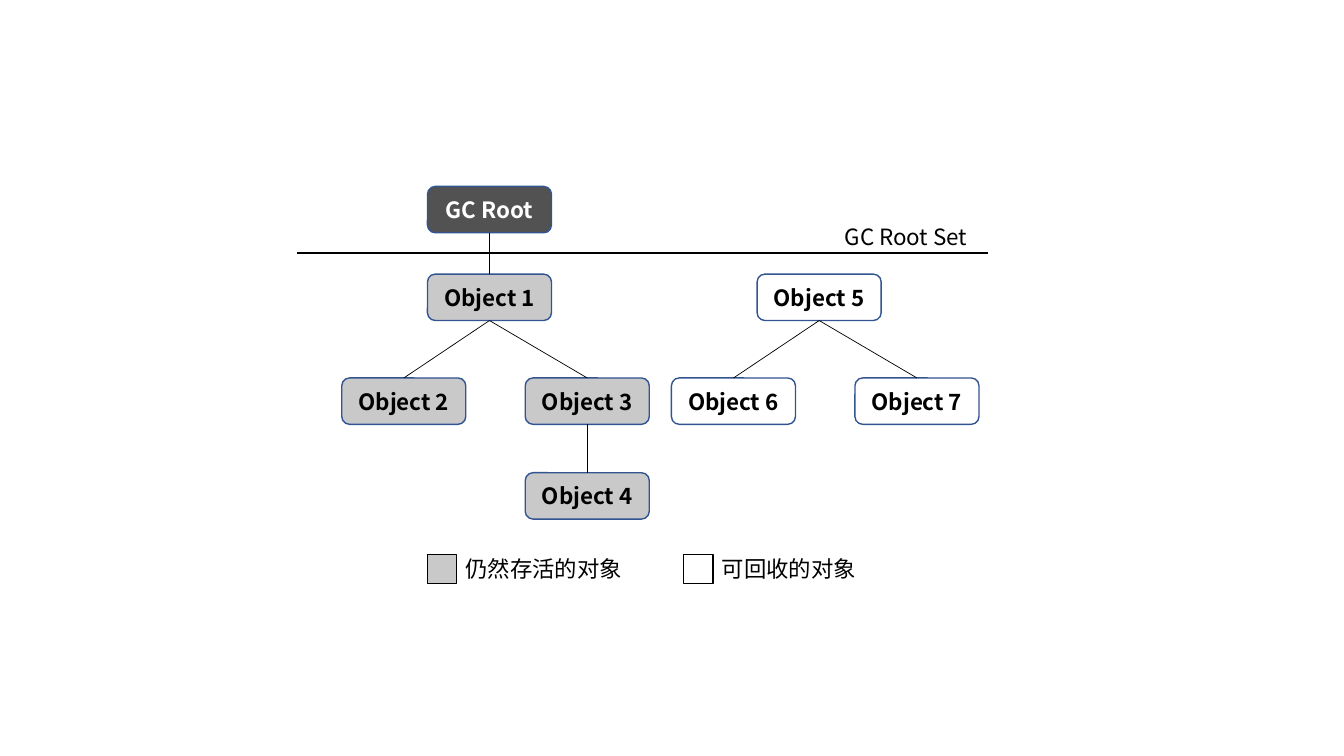
import dataclasses
import typing

import lxml.etree
import pptx
import pptx.dml.color
import pptx.enum.shapes
import pptx.enum.text
import pptx.oxml.ns
import pptx.util

Inches = pptx.util.Inches
Pt = pptx.util.Pt
RGBColor = pptx.dml.color.RGBColor
ShapeType = pptx.enum.shapes.MSO_SHAPE

BLACK = RGBColor(0x00, 0x00, 0x00)
WHITE = RGBColor(0xFF, 0xFF, 0xFF)
ROOT_GREY = RGBColor(0x52, 0x52, 0x52)
ALIVE_GREY = RGBColor(0xC9, 0xC9, 0xC9)
NODE_BORDER = RGBColor(0x32, 0x54, 0x91)

FONT = "Noto Sans CJK SC"
NODE_WIDTH, NODE_HEIGHT = 1.23, 0.46
ROOT_TOP, PARENT_TOP, CHILD_TOP, LEAF_TOP = 1.85, 2.72, 3.75, 4.69
TREE_OFFSET = 3.27
ALIVE_LEFT = 4.24
LEFT_CHILD, RIGHT_CHILD = ALIVE_LEFT - 0.85, ALIVE_LEFT + 0.97
BOTTOM_SITE, TOP_SITE = 2, 0


@dataclasses.dataclass
class Node:
    name: str
    left: float
    top: float
    fill: typing.Optional[RGBColor] = None
    color: RGBColor = BLACK
    parent: typing.Optional[str] = None


@dataclasses.dataclass
class LegendEntry:
    label: str
    left: float
    label_width: float
    fill: RGBColor


NODES = [
    Node("GC Root", ALIVE_LEFT, ROOT_TOP, ROOT_GREY, WHITE),
    Node("Object 1", ALIVE_LEFT, PARENT_TOP, ALIVE_GREY, parent="GC Root"),
    Node("Object 2", LEFT_CHILD, CHILD_TOP, ALIVE_GREY, parent="Object 1"),
    Node("Object 3", RIGHT_CHILD, CHILD_TOP, ALIVE_GREY, parent="Object 1"),
    Node("Object 4", RIGHT_CHILD, LEAF_TOP, ALIVE_GREY, parent="Object 3"),
    Node("Object 5", ALIVE_LEFT + TREE_OFFSET, PARENT_TOP),
    Node("Object 6", LEFT_CHILD + TREE_OFFSET, CHILD_TOP, parent="Object 5"),
    Node("Object 7", RIGHT_CHILD + TREE_OFFSET, CHILD_TOP, parent="Object 5"),
]

LEGEND = [
    LegendEntry("仍然存活的对象", 4.24, 1.77, ALIVE_GREY),
    LegendEntry("可回收的对象", 6.78, 1.55, WHITE),
]


def add_run(paragraph, text: str, color: RGBColor, bold: bool = False) -> None:
    """Add one formatted run, with the font set for Latin and Chinese text."""
    run = paragraph.add_run()
    run.text = text
    run.font.name = FONT
    run.font.size = Pt(16)
    run.font.bold = bold
    run.font.color.rgb = color
    east_asian = lxml.etree.SubElement(
        run.font._element, pptx.oxml.ns.qn("a:ea"))
    east_asian.set("typeface", FONT)


def add_box(shapes, kind, left: float, top: float, width: float, height: float,
            fill: typing.Optional[RGBColor], border: RGBColor):
    """Add an outlined preset shape without a shadow."""
    shape = shapes.add_shape(
        kind, Inches(left), Inches(top), Inches(width), Inches(height))
    shape.shadow.inherit = False
    if fill is None:
        shape.fill.background()
    else:
        shape.fill.solid()
        shape.fill.fore_color.rgb = fill
    shape.line.color.rgb = border
    shape.line.width = Pt(1)
    return shape


def add_node(shapes, node: Node):
    """Add a rounded box that carries the name of the node."""
    shape = add_box(shapes, ShapeType.ROUNDED_RECTANGLE, node.left, node.top,
                    NODE_WIDTH, NODE_HEIGHT, node.fill, NODE_BORDER)
    shape.text_frame.vertical_anchor = pptx.enum.text.MSO_ANCHOR.MIDDLE
    paragraph = shape.text_frame.paragraphs[0]
    paragraph.alignment = pptx.enum.text.PP_ALIGN.CENTER
    add_run(paragraph, node.name, node.color, bold=True)
    return shape


def add_line(shapes, start: tuple, end: tuple, width: float):
    """Add a straight black line without a shadow."""
    line = shapes.add_connector(
        pptx.enum.shapes.MSO_CONNECTOR.STRAIGHT,
        *(Inches(value) for value in start + end))
    line.line.color.rgb = BLACK
    line.line.width = Pt(width)
    lxml.etree.SubElement(
        line._element.spPr, pptx.oxml.ns.qn("a:effectLst"))
    return line


def add_label(shapes, text: str, left: float, top: float, width: float) -> None:
    """Add a one-line text box."""
    label = shapes.add_textbox(
        Inches(left), Inches(top), Inches(width), Inches(0.37))
    label.text_frame.word_wrap = False
    label.text_frame.auto_size = pptx.enum.text.MSO_AUTO_SIZE.SHAPE_TO_FIT_TEXT
    add_run(label.text_frame.paragraphs[0], text, BLACK)


def add_object_graph(shapes) -> None:
    """Add the nodes, their references and the root set boundary."""
    boxes = {node.name: add_node(shapes, node) for node in NODES}
    for node in NODES:
        if node.parent:
            reference = add_line(shapes, (0, 0), (0, 0), 0.5)
            reference.begin_connect(boxes[node.parent], BOTTOM_SITE)
            reference.end_connect(boxes[node.name], TOP_SITE)
    add_line(shapes, (2.95, 2.51), (9.8, 2.51), 1.5)
    add_label(shapes, "GC Root Set", 8.28, 2.16, 1.44)


def add_legend(shapes) -> None:
    """Add a colour swatch and a label for each kind of object."""
    for entry in LEGEND:
        add_box(shapes, ShapeType.RECTANGLE, entry.left, 5.5, 0.29, 0.29,
                entry.fill, BLACK)
        add_label(shapes, entry.label, entry.left + 0.28, 5.46,
                  entry.label_width)


def main() -> None:
    """Build the slide and save the presentation."""
    presentation = pptx.Presentation()
    presentation.slide_width = Inches(13.33)
    presentation.slide_height = Inches(7.5)
    slide = presentation.slides.add_slide(presentation.slide_layouts[6])
    add_object_graph(slide.shapes.add_group_shape().shapes)
    add_legend(slide.shapes)
    presentation.save("out.pptx")


main()
